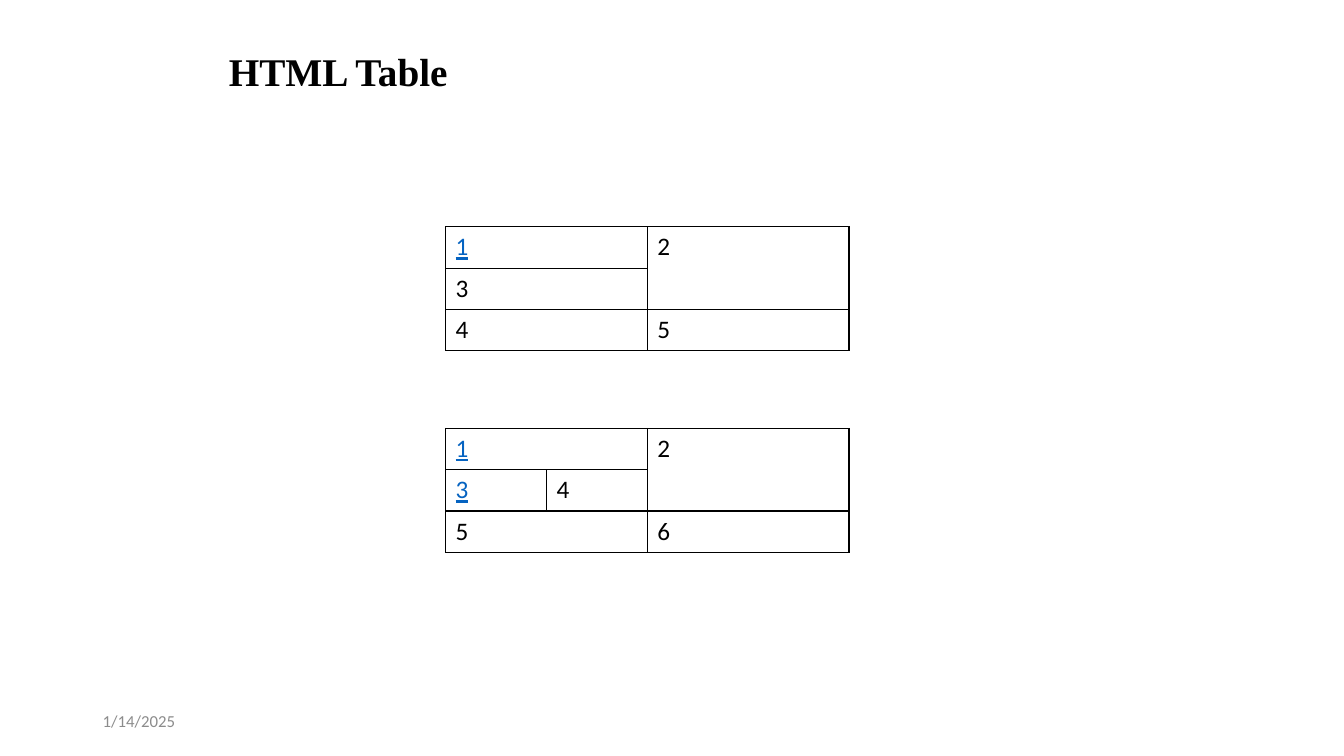
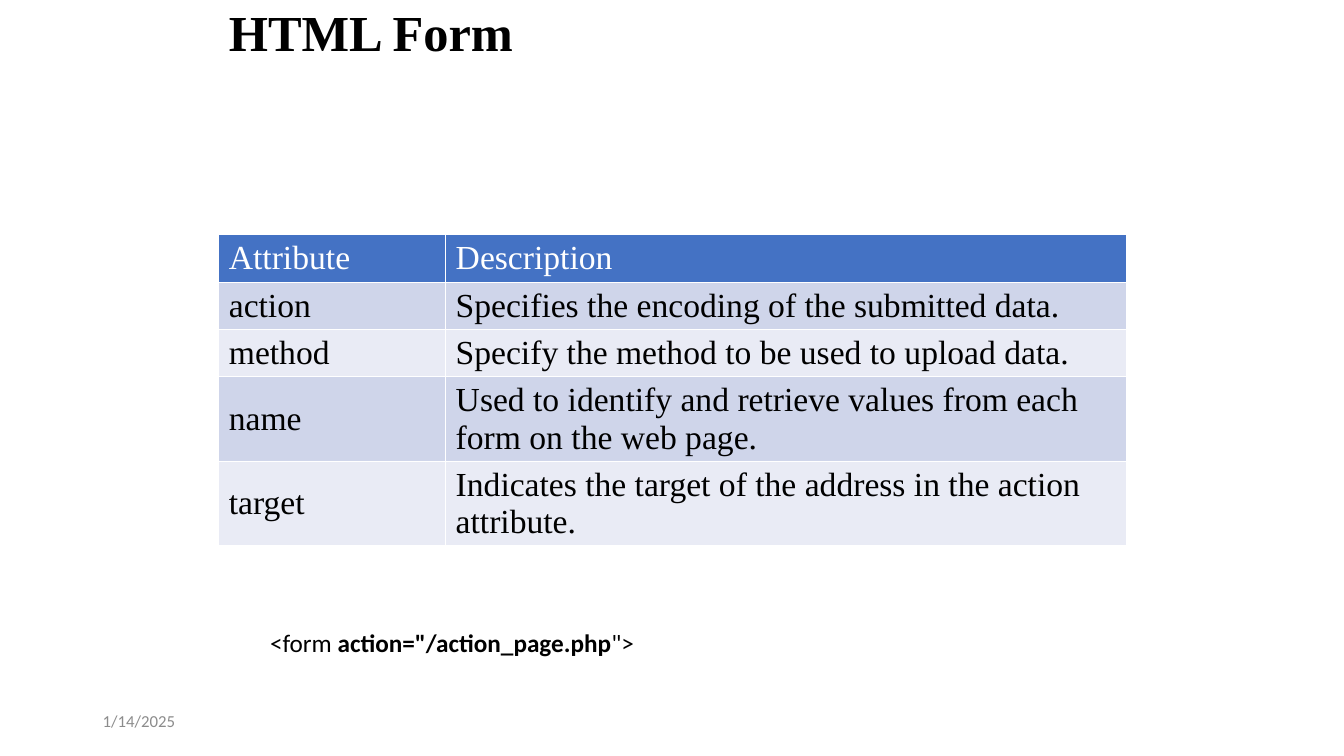
from lxml import etree
from pptx import Presentation
from pptx.dml.color import RGBColor
from pptx.enum.text import MSO_ANCHOR, MSO_AUTO_SIZE, PP_ALIGN
from pptx.oxml.ns import qn
from pptx.util import Inches, Pt

TOP, MIDDLE = MSO_ANCHOR.TOP, MSO_ANCHOR.MIDDLE
LEFT_ALIGN = PP_ALIGN.LEFT
NO_FIT = MSO_AUTO_SIZE.NONE
GROW = MSO_AUTO_SIZE.SHAPE_TO_FIT_TEXT

# Shared style
BLACK, WHITE, GREY = "000000", "FFFFFF", "8C8C8C"
LINK, HEADER = "0563C1", "4472C4"
BANDS = ("CFD5EA", "E9EBF5")
SANS, SERIF = "Calibri", "Times New Roman"

# Grid: the content band is four columns wide
LEFT, WIDTH = 2.17, 9
COLUMN = WIDTH / 4
ROW = 0.41


def color(code):
    return RGBColor.from_string(code)


def add_span(para, text, size, face, ink=BLACK, bold=False, underline=False):
    span = para.add_run()
    span.text = text
    font = span.font
    font.size, font.name = Pt(size), face
    font.bold, font.underline = bold, underline
    font.color.rgb = color(ink)


def add_title(page, text, size, top, height):
    title = page.shapes.title
    title.left, title.top = Inches(LEFT), Inches(top)
    title.width, title.height = Inches(WIDTH), Inches(height)
    frame = title.text_frame
    frame.auto_size, frame.vertical_anchor = NO_FIT, MIDDLE
    para = frame.paragraphs[0]
    para.alignment, para.line_spacing = LEFT_ALIGN, 0.9
    add_span(para, text, size, SERIF, bold=True)


def add_text(page, left, top, width, anchor=TOP, wrap=True):
    """Add a one-line text box and return its paragraph."""
    box = page.shapes.add_textbox(
        Inches(left), Inches(top), Inches(width), Inches(0.4))
    frame = box.text_frame
    frame.word_wrap, frame.vertical_anchor = wrap, anchor
    frame.auto_size = NO_FIT if wrap else GROW
    return frame.paragraphs[0]


def add_date(page):
    para = add_text(page, 0.92, 6.95, 3, MIDDLE)
    add_span(para, "1/14/2025", 12, SANS, GREY)


def set_borders(cell, ink):
    properties = cell._tc.get_or_add_tcPr()
    for side in ("a:lnL", "a:lnR", "a:lnT", "a:lnB"):
        line = etree.SubElement(properties, qn(side), w=str(Pt(1)))
        fill = etree.SubElement(line, qn("a:solidFill"))
        etree.SubElement(fill, qn("a:srgbClr"), val=ink)


def add_table(page, left, top, widths, heights, border):
    """Add a plain bordered table without a banded style."""
    table = page.shapes.add_table(
        len(heights), len(widths), Inches(left), Inches(top),
        Inches(sum(widths)), Inches(sum(heights))).table
    table.first_row = table.horz_banding = False
    for column, width in zip(table.columns, widths):
        column.width = Inches(width)
    for row, height in zip(table.rows, heights):
        row.height = Inches(height)
    for cell in table.iter_cells():
        set_borders(cell, border)
    return table


def fill_cell(cell, fill, text, size, face, ink=BLACK, underline=False):
    cell.fill.solid()
    cell.fill.fore_color.rgb = color(fill)
    if text:
        add_span(cell.text_frame.paragraphs[0], text, size, face, ink,
                 underline=underline)


def add_span_table(page, top, widths, rows, merges, links):
    """Add a numbered table with merged cells and link-styled numbers."""
    table = add_table(page, LEFT + COLUMN, top, widths, [ROW] * 3, BLACK)
    for first, last in merges:
        table.cell(*first).merge(table.cell(*last))
    for r, row in enumerate(rows):
        for c, text in enumerate(row):
            linked = text in links
            fill_cell(table.cell(r, c), WHITE, text, 18, SANS,
                      LINK if linked else BLACK, linked)


def add_attribute_table(page, rows):
    """Add a table with a header row and alternating row fills."""
    heights = [0.47] * 3 + [0.83] * 2
    table = add_table(page, LEFT, 2.33, [COLUMN, 3 * COLUMN], heights, WHITE)
    for r, row in enumerate(rows):
        fill, ink = (BANDS[(r - 1) % 2], BLACK) if r else (HEADER, WHITE)
        for c, text in enumerate(row):
            cell = table.cell(r, c)
            cell.vertical_anchor = MIDDLE
            fill_cell(cell, fill, text, 24, SERIF, ink)


def build_table_page(page):
    add_title(page, "HTML Table", 28, 0.3, 0.87)
    add_date(page)
    # Row span only
    add_span_table(page, 2.25, [2, 2],
                   [("1", "2"), ("3", ""), ("4", "5")],
                   [((0, 1), (1, 1))], ("1",))
    # Row and column spans
    add_span_table(page, 4.25, [1, 1, 2],
                   [("1", "", "2"), ("3", "4", ""), ("5", "", "6")],
                   [((0, 0), (0, 1)), ((0, 2), (1, 2)), ((2, 0), (2, 1))],
                   ("1", "3"))


def build_form_page(page):
    add_title(page, "HTML Form", 36, 0, 0.7)
    add_attribute_table(page, [
        ("Attribute", "Description"),
        ("action", "Specifies the encoding of the submitted data."),
        ("method", "Specify the method to be used to upload data."),
        ("name", "Used to identify and retrieve values from each form "
                 "on the web page."),
        ("target", "Indicates the target of the address in the action "
                   "attribute."),
    ])
    add_date(page)
    # Code example
    para = add_text(page, 2.58, 6.17, 3.84, wrap=False)
    for text, bold in (("<form ", False),
                       ('action="/action_page.php', True),
                       ('">', False)):
        add_span(para, text, 18, SANS, bold=bold)


def main():
    deck = Presentation()
    deck.slide_width, deck.slide_height = Inches(13.33), Inches(7.5)
    title_only = deck.slide_layouts[5]
    for build in (build_table_page, build_form_page):
        build(deck.slides.add_slide(title_only))
    deck.save("out.pptx")


if __name__ == "__main__":
    main()
